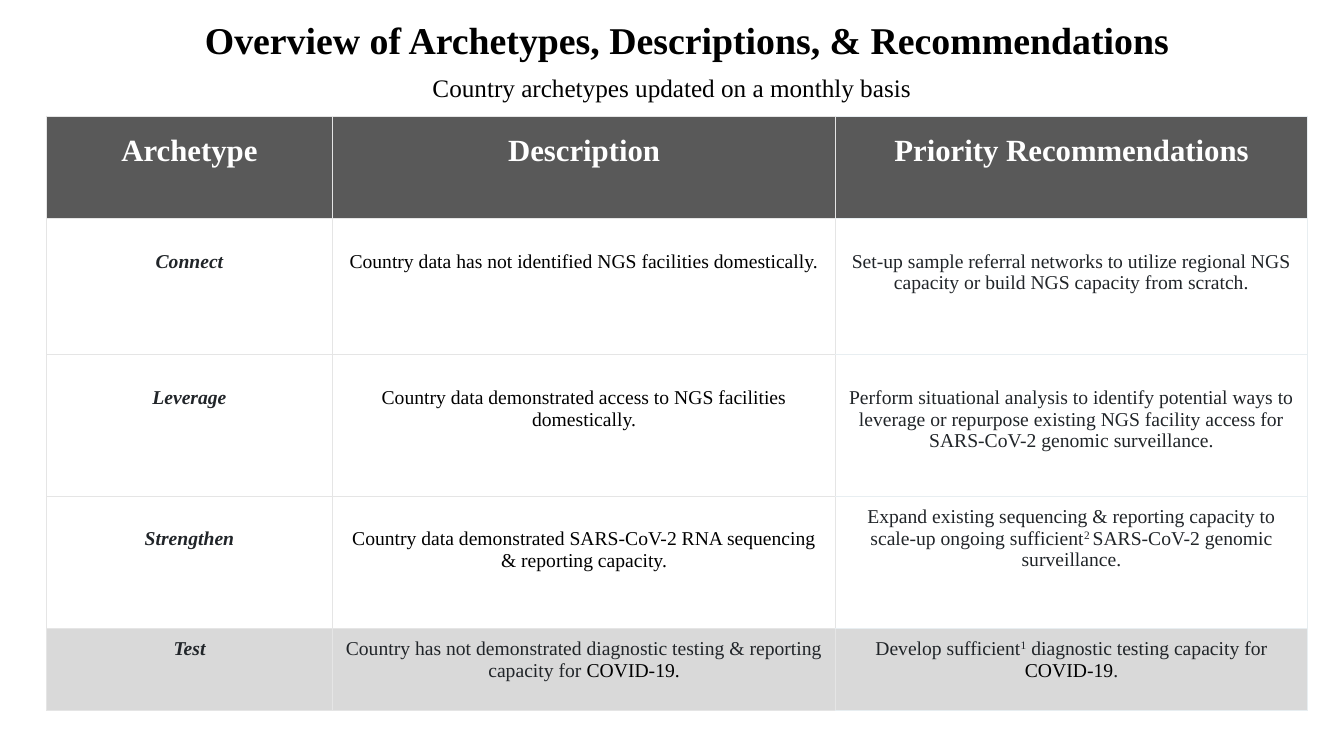
from dataclasses import dataclass

from lxml.etree import SubElement
from pptx import Presentation
from pptx.dml.color import RGBColor
from pptx.enum.text import MSO_ANCHOR, PP_ALIGN
from pptx.oxml.ns import qn
from pptx.util import Pt


@dataclass(frozen=True)
class Theme:
    font: str = "Times New Roman"
    black: str = "000000"
    ink: str = "212529"
    white: str = "FFFFFF"
    header: str = "595959"
    shaded: str = "D9D9D9"
    grid: str = "E5E5E5"
    pale_grid: str = "E8EEF1"
    title: float = 27
    subtitle: float = 18
    heading: float = 22
    body: float = 14


THEME = Theme()
STYLES = {
    "title": {"size": THEME.title, "color": THEME.black, "bold": True},
    "subtitle": {"size": THEME.subtitle, "color": THEME.black},
    "heading": {"size": THEME.heading, "color": THEME.white, "bold": True},
    "archetype": {"size": THEME.body, "color": THEME.ink, "bold": True, "italic": True},
    "black": {"size": THEME.body, "color": THEME.black},
    "ink": {"size": THEME.body, "color": THEME.ink},
    "super": {"size": THEME.body, "color": THEME.ink, "raised": True},
}

COLUMN_WIDTHS = (204.5, 359.3, 337)
ROW_HEIGHTS = (73.4, 97.2, 100.8, 94.3, 59)
INSET = 7.2
HEADER_INSET = 13
LOWERED_INSET = 23

HEADINGS = ("Archetype", "Description", "Priority Recommendations")
ARCHETYPES = (
    (
        "Connect",
        [("Country data has not identified NGS facilities domestically.", "black")],
        [("Set-up sample referral networks to utilize regional NGS capacity "
          "or build NGS capacity from scratch.", "ink")],
    ),
    (
        "Leverage",
        [("Country data demonstrated access to NGS facilities domestically.", "black")],
        [("Perform situational analysis to identify potential ways to leverage or "
          "repurpose existing NGS facility access for SARS-CoV-2 genomic "
          "surveillance.", "ink")],
    ),
    (
        "Strengthen",
        [("Country data demonstrated SARS-CoV-2 RNA sequencing & reporting capacity.",
          "black")],
        [("Expand existing sequencing & reporting capacity to scale-up ongoing "
          "sufficient", "ink"),
         ("2 ", "super"),
         ("SARS-CoV-2 genomic surveillance.", "ink")],
    ),
    (
        "Test",
        [("Country has not demonstrated diagnostic testing & reporting capacity for ",
          "ink"),
         ("COVID-19.", "black")],
        [("Develop sufficient", "ink"),
         ("1", "super"),
         (" diagnostic testing capacity for ", "ink"),
         ("COVID-19", "black"),
         (".", "ink")],
    ),
)


def write(frame, spans):
    para = frame.paragraphs[0]
    para.alignment = PP_ALIGN.CENTER
    for text, style_name in spans:
        style = STYLES[style_name]
        span = para.add_run()
        span.text = text
        settings = {
            "name": THEME.font,
            "size": Pt(style["size"]),
            "bold": style.get("bold", False),
            "italic": style.get("italic", False),
        }
        for name, value in settings.items():
            setattr(span.font, name, value)
        span.font.color.rgb = RGBColor.from_string(style["color"])
        if style.get("raised"):
            span.font._element.set("baseline", "30000")


def add_label(page, left, top, width, height, text, style_name):
    box = page.shapes.add_textbox(Pt(left), Pt(top), Pt(width), Pt(height))
    box.text_frame.word_wrap = True
    write(box.text_frame, [(text, style_name)])


def set_borders(cell, colors):
    properties = cell._tc.get_or_add_tcPr()
    for side, color in zip("LRTB", colors):
        line = SubElement(properties, qn(f"a:ln{side}"), w=str(Pt(0.5)))
        fill = SubElement(line, qn("a:solidFill"))
        SubElement(fill, qn("a:srgbClr"), val=color)


def fill_cell(cell, spans, color, top_inset, bottom_inset, borders):
    settings = {
        "margin_left": Pt(INSET),
        "margin_right": Pt(INSET),
        "margin_top": Pt(top_inset),
        "margin_bottom": Pt(bottom_inset),
        "vertical_anchor": MSO_ANCHOR.TOP,
    }
    for name, value in settings.items():
        setattr(cell, name, value)
    set_borders(cell, borders)
    cell.fill.solid()
    cell.fill.fore_color.rgb = RGBColor.from_string(color)
    write(cell.text_frame, spans)


def add_archetype_table(page, left, top):
    rows = [[[(heading, "heading")] for heading in HEADINGS]]
    rows += [[[(name, "archetype")], description, advice]
             for name, description, advice in ARCHETYPES]
    table = page.shapes.add_table(
        len(rows), len(HEADINGS), Pt(left), Pt(top),
        Pt(sum(COLUMN_WIDTHS)), Pt(sum(ROW_HEIGHTS)),
    ).table
    table.first_row = table.horz_banding = False
    for column, width in zip(table.columns, COLUMN_WIDTHS):
        column.width = Pt(width)
    for row, height in zip(table.rows, ROW_HEIGHTS):
        row.height = Pt(height)

    last_row, last_column = len(rows) - 1, len(HEADINGS) - 1
    row_colors = {0: THEME.header, last_row: THEME.shaded}
    for row_index, row in enumerate(rows):
        for column_index, spans in enumerate(row):
            is_advice = column_index == last_column
            top_inset = bottom_inset = INSET
            if row_index == 0:
                top_inset = bottom_inset = HEADER_INSET
            elif row_index < last_row and (row_index, column_index) != (3, last_column):
                top_inset = LOWERED_INSET
            edge = THEME.pale_grid if is_advice else THEME.grid
            fill_cell(
                table.cell(row_index, column_index), spans,
                row_colors.get(row_index, THEME.white),
                top_inset, bottom_inset, (THEME.grid, edge, edge, edge),
            )


def main():
    deck = Presentation()
    deck.slide_width, deck.slide_height = Pt(960), Pt(540)
    page = deck.slides.add_slide(deck.slide_layouts[6])
    add_archetype_table(page, 33.1, 82.8)
    add_label(page, 53.3, 8.6, 874.8, 40.3,
              "Overview of Archetypes, Descriptions, & Recommendations", "title")
    add_label(page, 42.5, 48.2, 874.8, 28.8,
              "Country archetypes updated on a monthly basis", "subtitle")
    deck.save("out.pptx")


if __name__ == "__main__":
    main()
